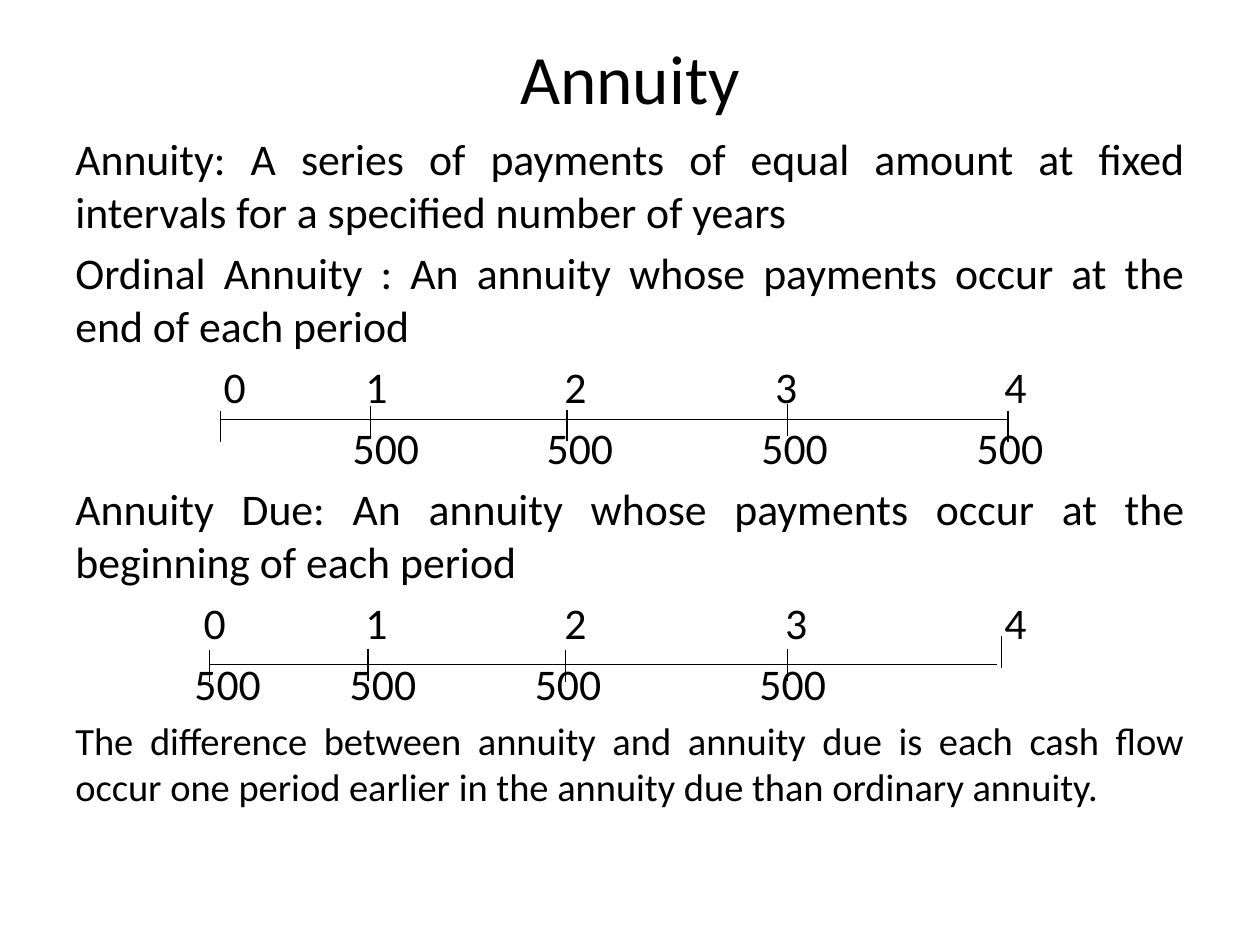
from dataclasses import dataclass
from pptx import Presentation
from pptx.dml.color import RGBColor
from pptx.enum.shapes import MSO_CONNECTOR as Connector
from pptx.enum.text import MSO_ANCHOR as Anchor, MSO_AUTO_SIZE as AutoSize, PP_ALIGN as Align
from pptx.oxml.ns import qn
from pptx.slide import Slide
from pptx.util import Cm, Pt
from lxml.etree import SubElement

BLACK = RGBColor(0, 0, 0)
WHITE = RGBColor(255, 255, 255)

LEFT, WIDTH = 1.27, 22.86
AXIS_LENGTH = 15.88
TICK_HEIGHT = 0.64

ORDINARY_PERIODS = [("0", 3.21), ("1", 6.07), ("2", 10.08), ("3", 14.33), ("4", 18.95)]
ORDINARY_PAYMENTS = [("500", stop) for stop in (6.26, 10.17, 14.5, 18.84)]
DUE_PERIODS = [("0", 2.81), ("1", 6.07), ("2", 10.08), ("3", 14.53), ("4", 18.95)]
DUE_PAYMENTS = [("500", stop) for stop in (3.07, 6.2, 9.93, 14.46)]

ORDINARY_TICKS = [(4.45, 8.28), (7.47, 8.18), (11.43, 8.26), (15.88, 8.15), (20.32, 8.28)]
DUE_TICKS = [(4.22, 13.11), (7.42, 13.08), (11.4, 13.11), (15.88, 13.08), (20.19, 12.83)]


@dataclass
class Painter:
    page: Slide
    font: str = "Calibri"
    color: RGBColor = BLACK
    line_width: float = 0.75

    def span(self, para, text, size):
        span = para.add_run()
        span.text = text
        span.font.name = self.font
        span.font.size = Pt(size)
        span.font.color.rgb = self.color

    def title(self, text, top, height, size):
        title = self.page.shapes.title
        title.left, title.top = Cm(LEFT), Cm(top)
        title.width, title.height = Cm(WIDTH), Cm(height)
        frame = title.text_frame
        frame.auto_size = AutoSize.NONE
        frame.vertical_anchor = Anchor.MIDDLE
        para = frame.paragraphs[0]
        para.alignment = Align.CENTER
        self.span(para, text, size)

    def body(self, top, height):
        box = self.page.shapes.add_textbox(Cm(LEFT), Cm(top), Cm(WIDTH), Cm(height))
        box.text_frame.word_wrap = True
        return box.text_frame

    def paragraph(self, frame, text, size=25):
        first = frame.paragraphs[0]
        para = frame.add_paragraph() if first.runs else first
        para.alignment = Align.JUSTIFY
        para.space_before = Pt(size * 0.2)
        self.span(para, text, size)
        return para

    def row(self, frame, entries):
        para = self.paragraph(frame, "".join(f"\t{label}" for label, _ in entries))
        tabs = SubElement(para._p.get_or_add_pPr(), qn("a:tabLst"))
        for _, stop in entries:
            SubElement(tabs, qn("a:tab"), pos=str(Cm(stop)), algn="ctr")

    def line(self, x1, y1, x2, y2):
        line = self.page.shapes.add_connector(
            Connector.STRAIGHT, Cm(x1), Cm(y1), Cm(x2), Cm(y2))
        line.line.color.rgb = self.color
        line.line.width = Pt(self.line_width)
        SubElement(line._element.spPr, qn("a:effectLst"))

    def timeline(self, left, top, ticks):
        self.line(left, top, left + AXIS_LENGTH, top)
        for x, y in ticks:
            self.line(x, y, x, y + TICK_HEIGHT)


def main():
    deck = Presentation()
    deck.slide_width, deck.slide_height = Cm(25.4), Cm(19.05)
    page = deck.slides.add_slide(deck.slide_layouts[5])
    page.background.fill.solid()
    page.background.fill.fore_color.rgb = WHITE
    painter = Painter(page)

    painter.title("Annuity", 0.76, 1.57, 39.6)
    body = painter.body(2.54, 15.44)
    painter.paragraph(body, "Annuity: A series of payments of equal amount at fixed "
                            "intervals for a specified number of years")
    painter.paragraph(body, "Ordinal Annuity : An annuity whose payments occur at the "
                            "end of each period")
    painter.row(body, ORDINARY_PERIODS)
    painter.row(body, ORDINARY_PAYMENTS)
    painter.paragraph(body, "Annuity Due: An annuity whose payments occur at the "
                            "beginning of each period")
    painter.row(body, DUE_PERIODS)
    painter.row(body, DUE_PAYMENTS)
    painter.paragraph(body, "The difference between annuity and annuity due is each cash flow "
                            "occur one period earlier in the annuity due than ordinary annuity.", 22)

    painter.timeline(4.45, 8.46, ORDINARY_TICKS)
    painter.timeline(4.22, 13.39, DUE_TICKS)
    deck.save("out.pptx")


if __name__ == "__main__":
    main()
